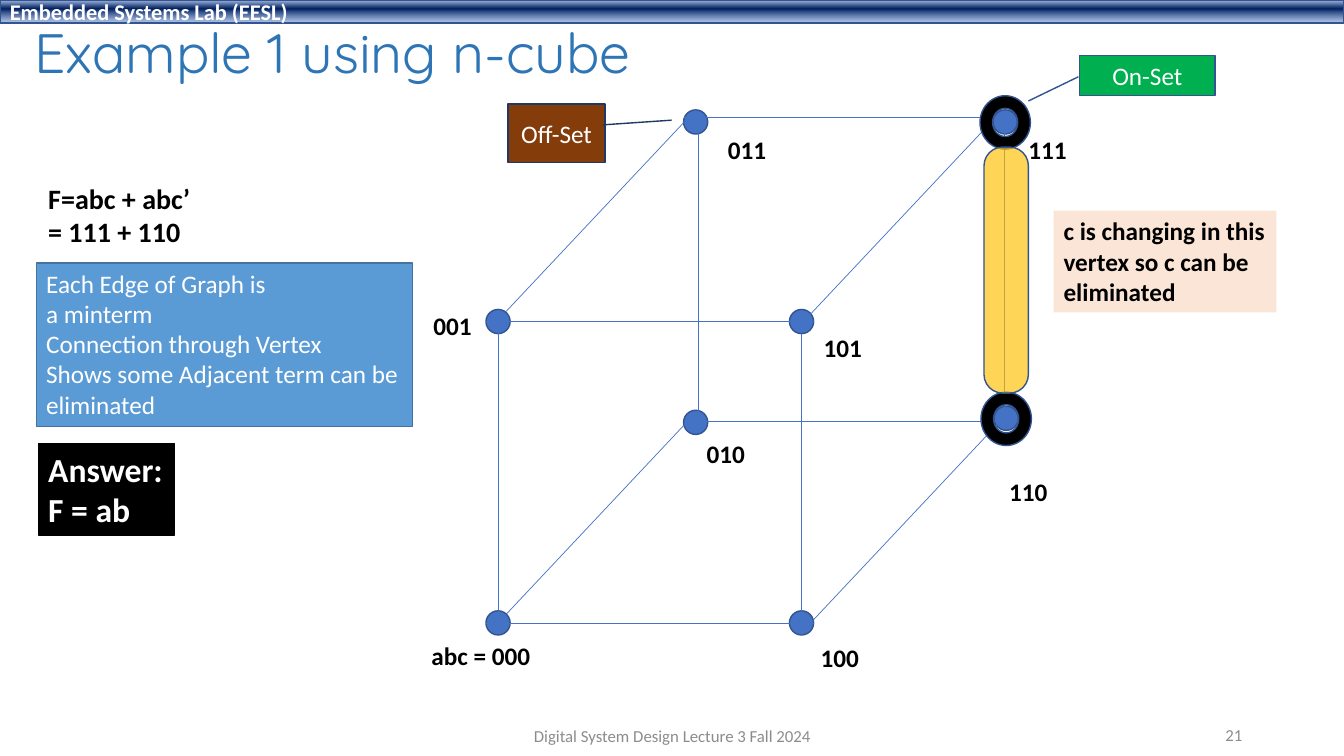
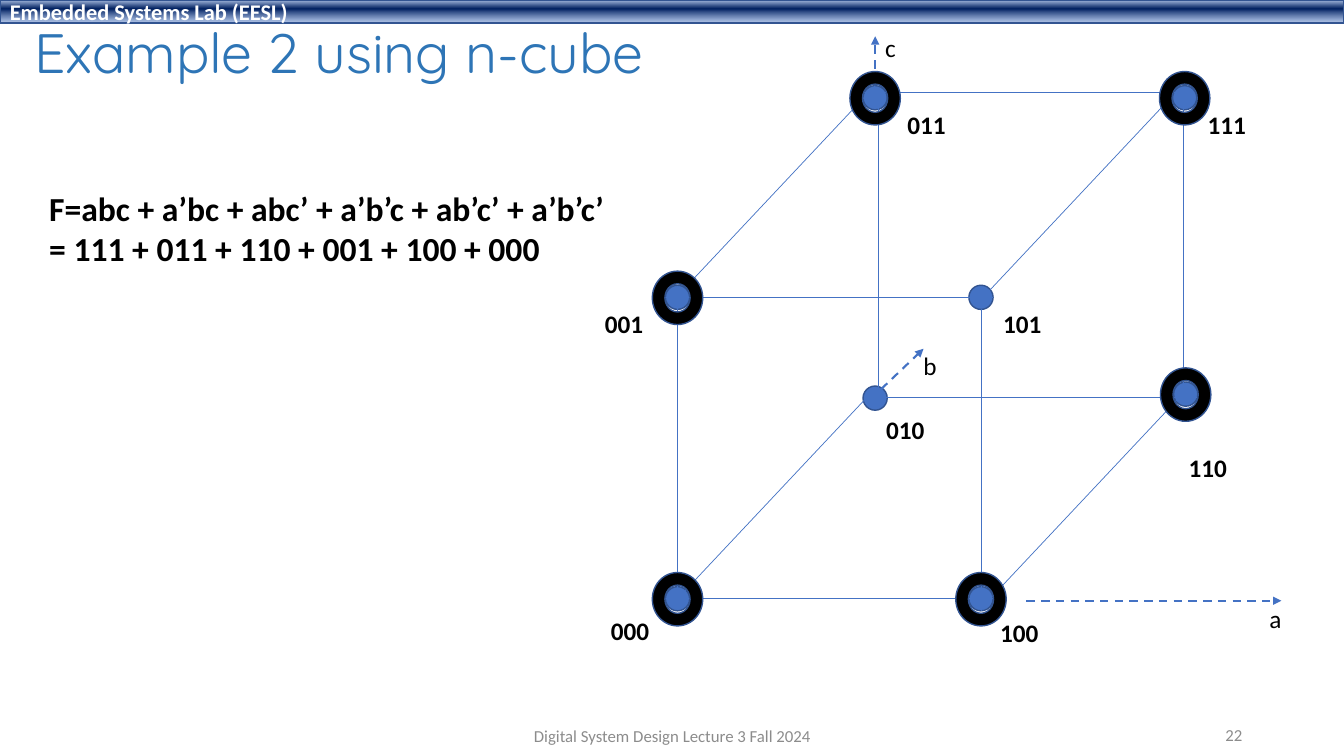
from pptx import Presentation
from pptx.dml.color import RGBColor
from pptx.enum.dml import MSO_LINE
from pptx.enum.shapes import MSO_CONNECTOR, MSO_SHAPE
from pptx.enum.text import MSO_ANCHOR, MSO_AUTO_SIZE, PP_ALIGN
from pptx.oxml import parse_xml
from pptx.oxml.ns import nsdecls, qn
from pptx.util import Inches, Pt
from lxml import etree

RECT = MSO_SHAPE.RECTANGLE
ROUND = MSO_SHAPE.ROUNDED_RECTANGLE
OVAL = MSO_SHAPE.OVAL
DONUT = MSO_SHAPE.DONUT
CALL = MSO_SHAPE.LINE_CALLOUT_1
LINE = MSO_CONNECTOR.STRAIGHT
DASH = MSO_LINE.DASH
TOP = MSO_ANCHOR.TOP
MID = MSO_ANCHOR.MIDDLE
LEFT = PP_ALIGN.LEFT
MIDST = PP_ALIGN.CENTER
RIGHT = PP_ALIGN.RIGHT
GROW = MSO_AUTO_SIZE.SHAPE_TO_FIT_TEXT

BLACK = RGBColor(0x00, 0x00, 0x00)
WHITE = RGBColor(0xFF, 0xFF, 0xFF)
GRAY = RGBColor(0x8C, 0x8C, 0x8C)
BLUE = RGBColor(0x44, 0x72, 0xC4)
EDGE = RGBColor(0x32, 0x54, 0x91)
HEAD = RGBColor(0x2E, 0x75, 0xB6)
GOLD = RGBColor(0xFF, 0xC0, 0x00)
PEACH = RGBColor(0xFB, 0xE5, 0xD6)
SKY = RGBColor(0x5B, 0x9B, 0xD5)
STEEL = RGBColor(0x43, 0x73, 0x9E)
GREEN = RGBColor(0x00, 0xB0, 0x50)
BROWN = RGBColor(0x84, 0x3C, 0x0B)
NAVY = RGBColor(0x20, 0x38, 0x64)

BODY = "Calibri"
TITLE = "Quicksand"
DOT = 0.24
RING = (0.5, 0.53)

NODES = {
    "000": (0, 4.97), "100": (3.01, 4.97), "001": (0, 1.98), "101": (3.01, 1.98),
    "011": (1.96, 0), "111": (5.03, 0), "010": (1.96, 2.98), "110": (5.04, 2.94),
}
TAGS = {
    "000": (-0.64, 5.21), "100": (3.22, 5.23), "110": (5.09, 3.59), "111": (5.28, 0.19),
    "011": (2.3, 0.19), "101": (3.25, 2.16), "001": (-0.7, 2.16), "010": (2.09, 3.21),
}
EDGES = {
    (3.25, 0): [(0, 2.1), (0, 5.09), (1.96, 0.07), (2.11, 3.09)],
    (0, 2.99): [(0.12, 2.1), (3.13, 2.22), (2.11, 0.07), (5.14, 0.07)],
    (-1.88, 2): [(2.08, 0), (5.03, 0.1), (5.09, 3.1), (2, 3.09)],
}
GRAD = (
    f'<a:gradFill {nsdecls("a")}><a:gsLst>'
    '<a:gs pos="2000"><a:srgbClr val="ABC0E4"/></a:gs>'
    '<a:gs pos="38000"><a:srgbClr val="002060"/></a:gs>'
    '<a:gs pos="93000"><a:srgbClr val="7E9ED6"><a:alpha val="64000"/></a:srgbClr></a:gs>'
    '</a:gsLst><a:lin ang="5400000" scaled="0"/></a:gradFill>'
)


def write(shape, text, size, color, bold=False, align=LEFT, anchor=TOP,
          font=BODY, grow=False):
    frame = shape.text_frame
    frame.text = text
    frame.word_wrap = not grow
    frame.vertical_anchor = anchor
    if grow:
        frame.auto_size = GROW
    for para in frame.paragraphs:
        para.alignment = align
        para.font.size = Pt(size)
        para.font.name = font
        para.font.bold = bold
        para.font.color.rgb = color


def label(slide, box, text, size=18, color=BLACK, **style):
    area = slide.shapes.add_textbox(*map(Inches, box))
    write(area, text, size, color, **style)
    return area


def block(slide, kind, box, fill, line=EDGE):
    shape = slide.shapes.add_shape(kind, *map(Inches, box))
    shape.shadow.inherit = False
    if fill is not None:
        shape.fill.solid()
        shape.fill.fore_color.rgb = fill
    if line is None:
        shape.line.fill.background()
    else:
        shape.line.color.rgb = line
        shape.line.width = Pt(1)
    return shape


def stroke(slide, start, end, width=0.5):
    line = slide.shapes.add_connector(LINE, *map(Inches, (*start, *end)))
    line.line.color.rgb = BLUE
    line.line.width = Pt(width)
    etree.SubElement(line._element.spPr, qn("a:effectLst"))
    return line


def arrow(slide, start, end):
    line = stroke(slide, start, end, 1.5).line
    line.dash_style = DASH
    etree.SubElement(line._get_or_add_ln(), qn("a:tailEnd"), type="triangle")


def callout(slide, box, text, fill, line, points):
    shape = block(slide, CALL, box, fill, line)
    for i, point in enumerate(points):
        shape.adjustments[i] = point
    write(shape, text, 18, WHITE, align=MIDST, anchor=MID)


def base(deck, title, number):
    slide = deck.slides.add_slide(deck.slide_layouts[6])
    band = block(slide, RECT, (0, 0, 13.33, 0.23), None)
    band._element.spPr.insert(2, parse_xml(GRAD))
    write(band, "Embedded Systems Lab (EESL)", 16, WHITE, bold=True, anchor=MID)
    head = label(slide, (0.24, -0.05, 6.7, 1.2), title, 39.6, HEAD, anchor=MID, font=TITLE)
    head.text_frame.paragraphs[0].line_spacing = 0.9
    label(slide, (4.42, 7.1, 4.5, 0.4), "Digital System Design Lecture 3 Fall 2024",
          12, GRAY, align=MIDST, anchor=MID)
    label(slide, (9.42, 7.09, 3, 0.4), str(number), 12, GRAY, align=RIGHT, anchor=MID)
    return slide


def cube(slide, left, top, marked, names={}, spots={}):
    def place(point):
        return left + point[0], top + point[1]

    for node in NODES.values():
        block(slide, OVAL, (*place(node), DOT, DOT), BLUE)
    for (run, drop), starts in EDGES.items():
        for start in starts:
            x, y = place(start)
            stroke(slide, (x, y), (x + run, y + drop))
    for code, spot in {**TAGS, **spots}.items():
        text = names.get(code, code)
        width = 0.59 if text == code else 1.19
        label(slide, (*place(spot), width, 0.4), text, bold=True, grow=True)
    for code in marked:
        x, y = place(NODES[code])
        block(slide, DONUT, (x - 0.13, y - 0.14, *RING), BLACK)


def first(deck):
    slide = base(deck, "Example 1 using n-cube", 21)
    label(slide, (0.38, 1.75, 1.62, 0.77), "F=abc + abc’\n= 111 + 110", 20,
          bold=True, grow=True)
    cube(slide, 4.82, 1.09, ["110", "111"], {"000": "abc = 000"}, {"001": (-0.62, 1.94)})
    bar = block(slide, ROUND, (9.76, 1.46, 0.44, 2.44), GOLD)
    bar.adjustments[0] = 0.42
    tint = bar._element.spPr.find(qn("a:solidFill"))[0]
    etree.SubElement(tint, qn("a:alpha"), val="66000")
    notes = [
        ((10.45, 2.09, 2.21, 1.01), PEACH, None, 18, BLACK, True,
         "c is changing in this\nvertex so c can be\neliminated"),
        ((0.38, 4.4, 1.35, 0.91), BLACK, BLACK, 24, WHITE, True, "Answer:\nF = ab"),
        ((0.36, 2.61, 3.73, 1.62), SKY, STEEL, 18, WHITE, False,
         "Each Edge of Graph is\na minterm\nConnection through Vertex\n"
         "Shows some Adjacent term can be\neliminated"),
    ]
    for box, fill, line, size, color, bold, text in notes:
        write(block(slide, RECT, box, fill, line), text, size, color, bold=bold, grow=True)
    callout(slide, (10.71, 0.55, 1.34, 0.4), "On-Set", GREEN, EDGE,
            (0.53, -0.01, 1.13, -0.38))
    callout(slide, (5.04, 1.03, 0.96, 0.58), "Off-Set", BROWN, NAVY,
            (0.36, 0.98, 0.28, 1.69))


def second(deck):
    slide = base(deck, "Example 2 using n-cube", 22)
    label(slide, (0.39, 1.81, 5.76, 0.91),
          "F=abc + a’bc + abc’ + a’b’c + ab’c’ + a’b’c’\n"
          "= 111 + 011 + 110 + 001 + 100 + 000", 24, bold=True, grow=True)
    cube(slide, 6.6, 0.85, ["001", "000", "100", "110", "111", "011"])
    axes = [
        ("a", (10.18, 5.96), (12.71, 5.96), (12.49, 5.94)),
        ("c", (8.68, 0.68), (8.68, 0.36), (8.68, 0.27)),
        ("b", (8.74, 3.86), (9.16, 3.46), (9.06, 3.43)),
    ]
    for name, start, end, spot in axes:
        arrow(slide, start, end)
        label(slide, (*spot, 0.32, 0.4), name, grow=True)


def main():
    deck = Presentation()
    deck.slide_width = Inches(13.33)
    deck.slide_height = Inches(7.5)
    first(deck)
    second(deck)
    deck.save("out.pptx")


if __name__ == "__main__":
    main()
